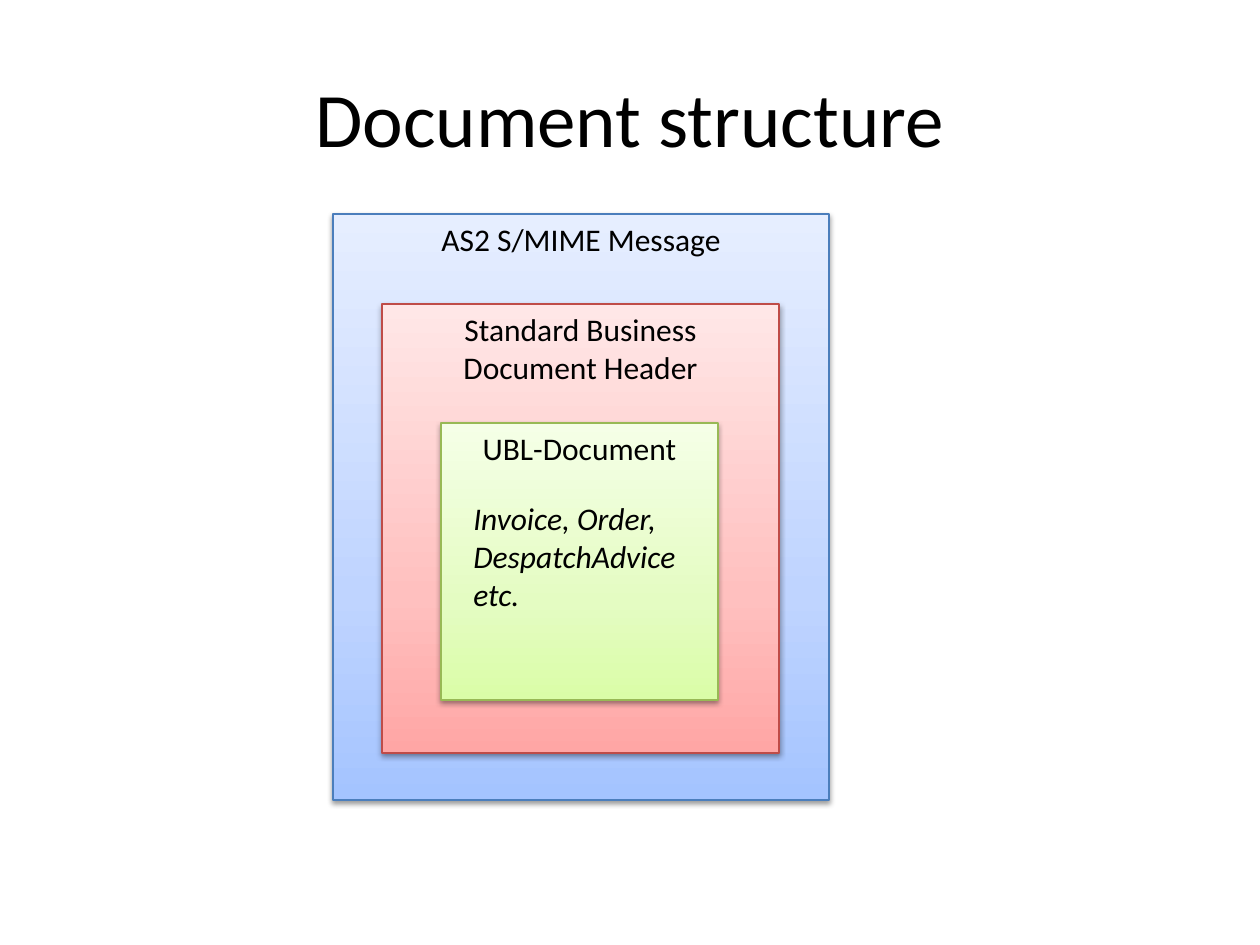
import copy

import lxml.etree
import pptx
import pptx.dml.color
import pptx.enum.shapes
import pptx.enum.text
import pptx.oxml.ns
import pptx.util

PIXEL = pptx.util.Inches(1) / 126
ALIGN = pptx.enum.text.PP_ALIGN
ANCHOR = pptx.enum.text.MSO_ANCHOR
qn = pptx.oxml.ns.qn

# Offset and size within the stack, gradient from bottom to top, outline, label
LAYERS = [
    ((0, 0, 496, 586), ("A4C4FF", "BFD4FF", "E6EEFF"), "4B7EBC",
     "AS2 S/MIME Message"),
    ((49, 90, 397, 449), ("FFA6A5", "FFC0BF", "FFE7E7"), "BF4C48",
     "Standard Business Document Header"),
    ((108, 209, 277, 277), ("DAFDA7", "E4FCC2", "F5FFE7"), "98B955",
     "UBL-Document"),
]
EXAMPLES_BOX = (128, 279, 238, 127)
STOP_POSITIONS = (0, 0.35, 1)


def emu(box):
    """Turn pixel lengths into EMU."""
    return [round(length * PIXEL) for length in box]


def inside(parent, box):
    """Shift a box by the corner of its parent."""
    return (parent[0] + box[0], parent[1] + box[1], box[2], box[3])


def color(value):
    """Return the colour for a hex string."""
    return pptx.dml.color.RGBColor.from_string(value)


def apply(target, formats):
    """Set attributes from a dict of format values."""
    for name, value in formats.items():
        setattr(target, name, value)


def write(frame, text, size, align, anchor, italic=False):
    """Write one formatted paragraph into a text frame."""
    apply(frame, {"text": text, "word_wrap": True, "vertical_anchor": anchor})
    paragraph = frame.paragraphs[0]
    paragraph.alignment = align
    font = paragraph.runs[0].font
    apply(font, {"name": "Calibri", "size": pptx.util.Pt(size), "italic": italic})
    font.color.rgb = color("000000")


def shade(shape, gradient):
    """Fill a shape with a three-stop vertical gradient."""
    shape.fill.gradient()
    stop_list = shape.element.spPr.find(".//" + qn("a:gsLst"))
    stop_list.append(copy.deepcopy(stop_list[0]))
    for stop, position, value in zip(shape.fill.gradient_stops, STOP_POSITIONS, gradient):
        stop.position = position
        stop.color.rgb = color(value)
    shape.fill.gradient_angle = 90


def cast_shadow(shape):
    """Give a shape a soft shadow straight below it."""
    shape.shadow.inherit = False
    effects = shape.element.spPr.find(qn("a:effectLst"))
    shadow = lxml.etree.SubElement(
        effects, qn("a:outerShdw"), blurRad=str(pptx.util.Pt(3.1)),
        dist=str(pptx.util.Pt(1.6)), dir="5400000", rotWithShape="0")
    black = lxml.etree.SubElement(shadow, qn("a:srgbClr"), val="000000")
    lxml.etree.SubElement(black, qn("a:alpha"), val="38000")


def add_layer(slide, box, gradient, outline, label):
    """Draw one envelope layer with its label at the top."""
    layer = slide.shapes.add_shape(
        pptx.enum.shapes.MSO_SHAPE.RECTANGLE, *emu(box))
    shade(layer, gradient)
    layer.line.color.rgb = color(outline)
    layer.line.width = pptx.util.Pt(0.75)
    cast_shadow(layer)
    write(layer.text_frame, label, 18, ALIGN.CENTER, ANCHOR.TOP)


def add_document_stack(slide, box):
    """Draw the nested layers and the document examples."""
    for layer_box, gradient, outline, label in LAYERS:
        add_layer(slide, inside(box, layer_box), gradient, outline, label)
    examples = slide.shapes.add_textbox(*emu(inside(box, EXAMPLES_BOX)))
    write(examples.text_frame, "Invoice, Order, DespatchAdvice etc.", 18,
          ALIGN.LEFT, ANCHOR.TOP, italic=True)


def add_title(slide, box, text):
    """Place and format the title placeholder."""
    title = slide.shapes.title
    apply(title, dict(zip(("left", "top", "width", "height"), emu(box))))
    write(title.text_frame, text, 44, ALIGN.CENTER, ANCHOR.MIDDLE)


def build():
    """Build and save the presentation."""
    deck = pptx.Presentation()
    apply(deck, {"slide_width": pptx.util.Inches(10),
                 "slide_height": pptx.util.Inches(7.5)})
    slide = deck.slides.add_slide(deck.slide_layouts.get_by_name("Title Only"))
    add_title(slide, (63, 38, 1134, 158), "Document structure")
    add_document_stack(slide, (333, 214, 496, 586))
    deck.save("out.pptx")


build()
